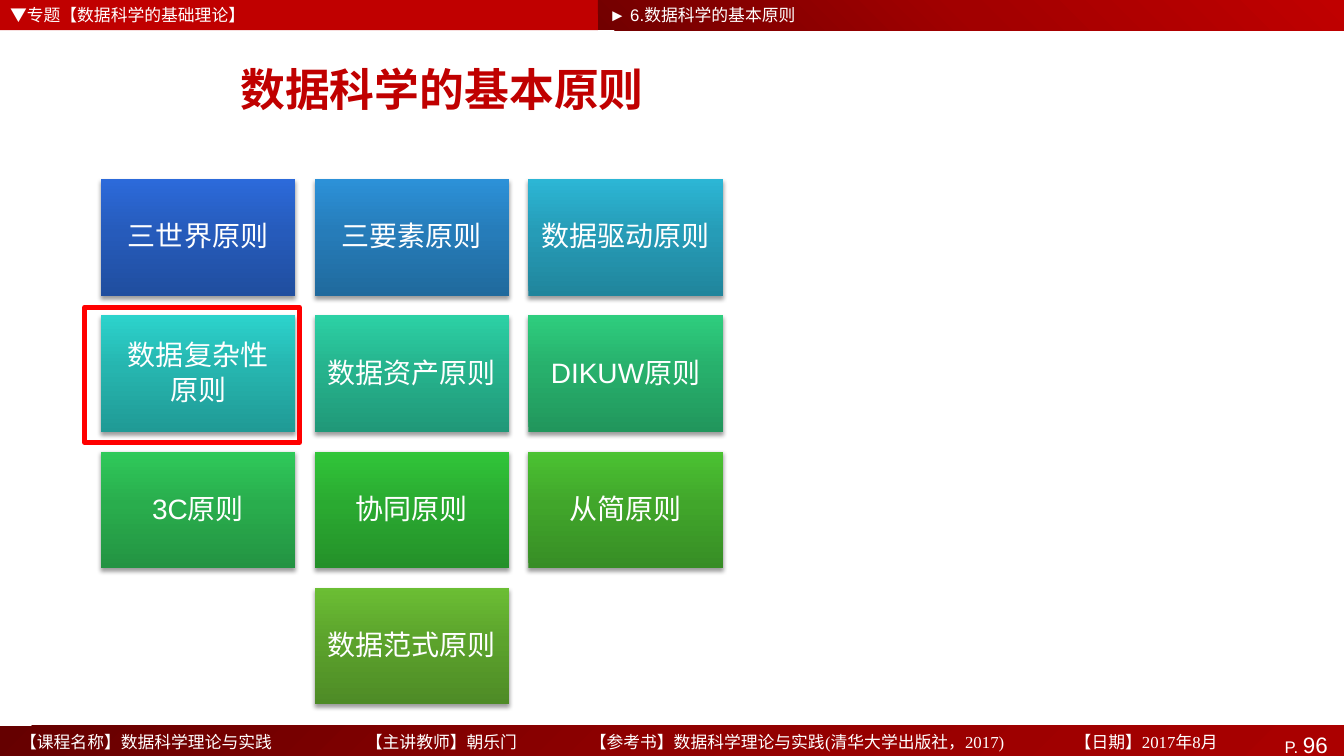
import pptx
import pptx.dml.color
import pptx.enum.shapes
import pptx.enum.text
import pptx.oxml
import pptx.oxml.ns
import pptx.util
from dataclasses import dataclass

Inches = pptx.util.Inches
Pt = pptx.util.Pt
ALIGN = pptx.enum.text.PP_ALIGN
ANCHOR = pptx.enum.text.MSO_ANCHOR


@dataclass(frozen=True)
class Theme:
    red: str = "C00000"
    white: str = "FFFFFF"
    highlight: str = "FF0000"
    footer_gradient: tuple = ("650000", "900000", "AB0000")
    header_gradient: tuple = ("720000", "A20000", "C00000")
    latin: str = "Arial"
    footer_latin: str = "Times New Roman"
    chinese: str = "Noto Sans CJK SC"
    title_size: int = 32
    tile_size: int = 20
    page_size: int = 16
    small_size: int = 12


THEME = Theme()

TITLE = "数据科学的基本原则"
# text, left, width
HEADERS = [
    ("▼专题【数据科学的基础理论】", 0, 4.83),
    ("► 6.数据科学的基本原则", 5.94, 2.38),
]
# text, left
FOOTER = [
    ("【课程名称】数据科学理论与实践", 0.2),
    ("【主讲教师】朝乐门", 3.63),
    ("【参考书】数据科学理论与实践(清华大学出版社，2017)", 5.85),
    ("【日期】2017年8月", 10.66),
]
PAGE_LABEL, PAGE_NUMBER = "P. ", "96"
# lines of text, gradient from bottom to top
PRINCIPLES = [
    (["三世界原则"], ("204E9F", "265BBB", "2C6ADA")),
    (["三要素原则"], ("206A9D", "267CB9", "2C91D8")),
    (["数据驱动原则"], ("20859C", "269CB7", "2CB6D5")),
    (["数据复杂性", "原则"], ("209A95", "26B5AF", "2CD3CC")),
    (["数据资产原则"], ("209878", "26B38D", "2CD1A5")),
    (["DIKUW原则"], ("21965C", "27B06C", "2ECD7E")),
    (["3C原则"], ("239342", "29AD4D", "2FC95A")),
    (["协同原则"], ("249029", "2AAA31", "31C539")),
    (["从简原则"], ("378D25", "41A62B", "4BC232")),
    (["数据范式原则"], ("4E8B26", "5CA32C", "6BBE34")),
]

SLIDE_WIDTH, SLIDE_HEIGHT = 13.33, 7.5
HEADER_SPLIT, HEADER_HEIGHT = 5.93, 0.3
FOOTER_TOP, FOOTER_HEIGHT = 7.2, 0.37
COLUMNS = 3
GRID_LEFT, GRID_TOP = 1, 1.78
TILE_WIDTH, TILE_HEIGHT = 1.93, 1.16
COLUMN_STEP, ROW_STEP = 2.12, 1.35


def rgb(color):
    return pptx.dml.color.RGBColor.from_string(color)


def drawing_element(xml):
    """Parse one element, with the drawing namespace declared on its root tag."""
    tag, rest = xml[1:].split(" ", 1)
    return pptx.oxml.parse_xml(f"<{tag} {pptx.oxml.ns.nsdecls('a')} {rest}")


def place(shape, left, top, width, height):
    shape.left, shape.top = Inches(left), Inches(top)
    shape.width, shape.height = Inches(width), Inches(height)


def add_rectangle(slide, left, top, width, height):
    shape = slide.shapes.add_shape(
        pptx.enum.shapes.MSO_SHAPE.RECTANGLE,
        Inches(left), Inches(top), Inches(width), Inches(height))
    shape.shadow.inherit = False
    shape.line.fill.background()
    return shape


def fill_gradient(shape, colors, angle, middle):
    """Apply three stops; angle is clockwise and middle is a percentage."""
    shape.fill.gradient()
    shape.fill.gradient_angle = 360 - angle
    stops = shape.element.xpath("./p:spPr/a:gradFill/a:gsLst")[0]
    for stop in list(stops):
        stops.remove(stop)
    for position, color in zip((0, middle, 100), colors):
        stops.append(drawing_element(
            f'<a:gs pos="{position * 1000}"><a:srgbClr val="{color}"/></a:gs>'))


def add_drop_shadow(shape):
    shape.element.xpath("./p:spPr/a:effectLst")[0].append(drawing_element(
        f'<a:outerShdw blurRad="{Pt(3.1)}" dist="{Pt(2)}" dir="5400000" rotWithShape="0">'
        '<a:srgbClr val="000000"><a:alpha val="38000"/></a:srgbClr></a:outerShdw>'))


def add_run(paragraph, text, size, color=THEME.white, latin=THEME.latin, bold=False):
    run = paragraph.add_run()
    run.text = text
    run.font.size = Pt(size)
    run.font.bold = bold
    run.font.color.rgb = rgb(color)
    run.font.name = latin
    run.font.element.append(drawing_element(f'<a:ea typeface="{THEME.chinese}"/>')) \
        if hasattr(run.font, "element") else \
        run._r.get_or_add_rPr().append(drawing_element(f'<a:ea typeface="{THEME.chinese}"/>'))


def prepare_frame(shape, anchor, margin=None):
    frame = shape.text_frame
    frame.word_wrap = True
    frame.auto_size = pptx.enum.text.MSO_AUTO_SIZE.NONE
    frame.vertical_anchor = anchor
    if margin is not None:
        frame.margin_left = frame.margin_right = Inches(margin)
        frame.margin_top = frame.margin_bottom = Inches(margin)
    return frame


def add_bars(slide):
    left_bar = add_rectangle(slide, 0, 0, HEADER_SPLIT, HEADER_HEIGHT)
    left_bar.fill.solid()
    left_bar.fill.fore_color.rgb = rgb(THEME.red)
    right_bar = add_rectangle(
        slide, HEADER_SPLIT, 0, SLIDE_WIDTH - HEADER_SPLIT, HEADER_HEIGHT)
    fill_gradient(right_bar, THEME.header_gradient, 315, 50)

    footer_bar = add_rectangle(slide, 0, FOOTER_TOP, SLIDE_WIDTH, FOOTER_HEIGHT)
    fill_gradient(footer_bar, THEME.footer_gradient, 45, 50)
    frame = prepare_frame(footer_bar, ANCHOR.TOP)
    frame.margin_right = Inches(0.16)
    paragraph = frame.paragraphs[0]
    paragraph.alignment = ALIGN.RIGHT
    add_run(paragraph, PAGE_LABEL, THEME.small_size)
    add_run(paragraph, PAGE_NUMBER, THEME.page_size)


def add_footer_text(slide):
    box = slide.shapes.add_textbox(
        Inches(0), Inches(7.22), Inches(SLIDE_WIDTH - 0.8), Inches(0.28))
    frame = prepare_frame(box, ANCHOR.MIDDLE)
    start = FOOTER[0][1]
    frame.margin_left = Inches(start)
    paragraph = frame.paragraphs[0]
    tabs = "".join(f'<a:tab pos="{Inches(left - start)}" algn="l"/>' for _, left in FOOTER[1:])
    paragraph._p.get_or_add_pPr().append(drawing_element(f"<a:tabLst >{tabs}</a:tabLst>"))
    add_run(paragraph, "\t".join(text for text, _ in FOOTER),
            THEME.small_size, latin=THEME.footer_latin)


def fill_placeholders(slide):
    title, *bodies = slide.placeholders
    place(title, 0.44, 0.43, 7.89, 0.9)
    paragraph = prepare_frame(title, ANCHOR.MIDDLE).paragraphs[0]
    paragraph.alignment = ALIGN.CENTER
    add_run(paragraph, TITLE, THEME.title_size, THEME.red, THEME.chinese, bold=True)

    for body, (text, left, width) in zip(bodies, HEADERS):
        place(body, left, 0, width, 0.29)
        paragraph = prepare_frame(body, ANCHOR.MIDDLE).paragraphs[0]
        properties = paragraph._p.get_or_add_pPr()
        properties.set("marL", str(Inches(0.38)))
        properties.set("indent", str(-Inches(0.38)))
        properties.append(drawing_element("<a:buNone />"))
        paragraph.space_before = Pt(0)
        add_run(paragraph, text, THEME.small_size)
        body.element.getparent().append(body.element)  # in front of the header bars


def add_tiles(slide):
    for index, (lines, colors) in enumerate(PRINCIPLES):
        row, column = divmod(index, COLUMNS)
        row_count = min(COLUMNS, len(PRINCIPLES) - row * COLUMNS)
        column += (COLUMNS - row_count) / 2
        tile = add_rectangle(slide, GRID_LEFT + column * COLUMN_STEP,
                             GRID_TOP + row * ROW_STEP, TILE_WIDTH, TILE_HEIGHT)
        fill_gradient(tile, colors, 270, 55)
        add_drop_shadow(tile)
        frame = prepare_frame(tile, ANCHOR.MIDDLE, 0.08)
        for number, line in enumerate(lines):
            paragraph = frame.add_paragraph() if number else frame.paragraphs[0]
            paragraph.alignment = ALIGN.CENTER
            paragraph.line_spacing = 0.9
            paragraph.space_before = Pt(3 if number else 0)
            add_run(paragraph, line, THEME.tile_size)


def add_highlight(slide):
    frame = add_rectangle(slide, 0.84, 3.05, 2.13, 1.34)
    frame.fill.background()
    frame.line.color.rgb = rgb(THEME.highlight)
    frame.line.width = Pt(3.78)
    frame.element.xpath("./p:spPr/a:ln")[0].append(drawing_element("<a:round />"))


def main():
    presentation = pptx.Presentation()
    presentation.slide_width = Inches(SLIDE_WIDTH)
    presentation.slide_height = Inches(SLIDE_HEIGHT)
    slide = presentation.slides.add_slide(presentation.slide_layouts[3])
    add_bars(slide)
    add_footer_text(slide)
    fill_placeholders(slide)
    add_tiles(slide)
    add_highlight(slide)
    presentation.save("out.pptx")


if __name__ == "__main__":
    main()
